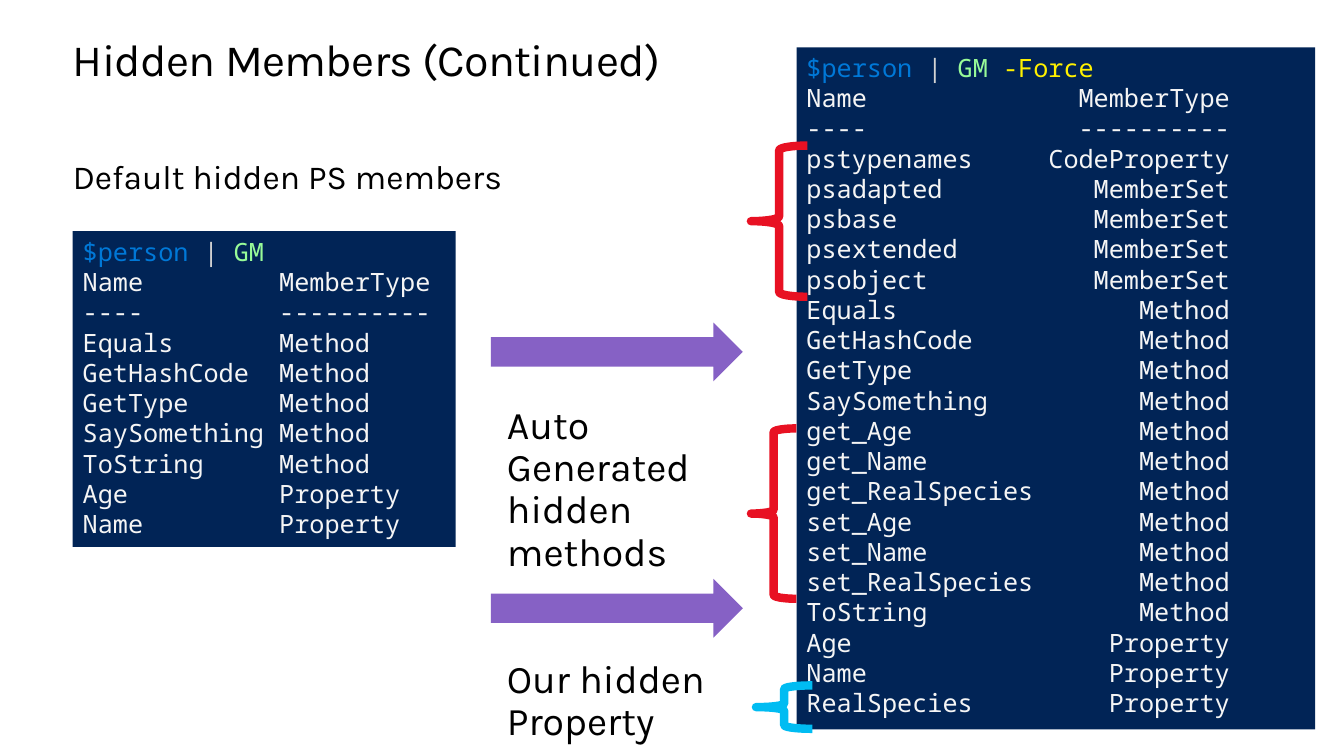
from pptx import Presentation
from pptx.dml.color import RGBColor
from pptx.enum.shapes import MSO_SHAPE
from pptx.enum.text import MSO_ANCHOR, MSO_AUTO_SIZE, PP_ALIGN
from pptx.util import Pt

RECTANGLE, BRACE, ARROW = MSO_SHAPE.RECTANGLE, MSO_SHAPE.LEFT_BRACE, MSO_SHAPE.RIGHT_ARROW
TOP, MIDDLE = MSO_ANCHOR.TOP, MSO_ANCHOR.MIDDLE
LEFT = PP_ALIGN.LEFT
NO_AUTOFIT = MSO_AUTO_SIZE.NONE

BLACK = RGBColor(0x00, 0x00, 0x00)
WHITE = RGBColor(0xFF, 0xFF, 0xFF)
CONSOLE = RGBColor(0x01, 0x24, 0x56)
VARIABLE = RGBColor(0x00, 0x78, 0xD7)
PIPE = RGBColor(0xD3, 0xD3, 0xD3)
COMMAND = RGBColor(0x98, 0xFB, 0x98)
PARAMETER = RGBColor(0xFF, 0xF1, 0x00)
OUTPUT = RGBColor(0xF5, 0xF5, 0xF5)
RED = RGBColor(0xE8, 0x11, 0x23)
CYAN = RGBColor(0x00, 0xBC, 0xF2)
PURPLE = RGBColor(0x86, 0x61, 0xC5)

prs = Presentation()
prs.slide_width, prs.slide_height = Pt(960), Pt(540)
slide = prs.slides.add_slide(prs.slide_layouts[1])


def add_run(paragraph, text, size, color, font="Karla"):
    run = paragraph.add_run()
    run.text = text
    run.font.name = font
    run.font.size = Pt(size)
    run.font.color.rgb = color
    return run


def add_plain_shape(kind, box, fill=None, line=None):
    """Add a shadowless preset shape; box is left, top, width, height in points."""
    shape = slide.shapes.add_shape(kind, *map(Pt, box))
    shape.shadow.inherit = False
    if fill is None:
        shape.fill.background()
    else:
        shape.fill.solid()
        shape.fill.fore_color.rgb = fill
    if line is None:
        shape.line.fill.background()
    else:
        shape.line.color.rgb = line
        shape.line.width = Pt(6)
    return shape


# Title and subtitle
title, subtitle = slide.placeholders
headings = [
    (title, (52, 25, 857, 36), "Hidden Members (Continued)", 32, MIDDLE),
    (subtitle, (52, 111, 857, 379), "Default hidden PS members", 24, TOP),
]
for holder, box, text, size, anchor in headings:
    holder.left, holder.top, holder.width, holder.height = map(Pt, box)
    frame = holder.text_frame
    frame.margin_left = frame.margin_right = frame.margin_top = frame.margin_bottom = 0
    frame.word_wrap = True
    frame.auto_size = NO_AUTOFIT
    frame.vertical_anchor = anchor
    paragraph = frame.paragraphs[0]
    paragraph.alignment = LEFT
    paragraph.space_before = Pt(0)
    add_run(paragraph, text, size, BLACK)

title.fill.solid()
title.fill.fore_color.rgb = WHITE
title_paragraph = title.text_frame.paragraphs[0]
title_paragraph.line_spacing = Pt(36.2)
title_paragraph.runs[0].font._element.set("spc", "-50")

subtitle_props = subtitle.text_frame.paragraphs[0]._p.get_or_add_pPr()
subtitle_props.set("marL", "0")
subtitle_props.set("indent", "0")
subtitle_props.insert_element_before(
    subtitle_props.makeelement(
        "{http://schemas.openxmlformats.org/drawingml/2006/main}buNone", {}),
    "a:tabLst", "a:defRPr", "a:extLst")

# Console panels
header = [("Name", "MemberType"), ("-" * 4, "-" * 10)]
visible_members = header + [
    ("Equals", "Method"), ("GetHashCode", "Method"), ("GetType", "Method"),
    ("SaySomething", "Method"), ("ToString", "Method"),
    ("Age", "Property"), ("Name", "Property"),
]
all_members = header + [
    ("pstypenames", "CodeProperty"), ("psadapted", "MemberSet"),
    ("psbase", "MemberSet"), ("psextended", "MemberSet"), ("psobject", "MemberSet"),
    ("Equals", "Method"), ("GetHashCode", "Method"), ("GetType", "Method"),
    ("SaySomething", "Method"), ("get_Age", "Method"), ("get_Name", "Method"),
    ("get_RealSpecies", "Method"), ("set_Age", "Method"), ("set_Name", "Method"),
    ("set_RealSpecies", "Method"), ("ToString", "Method"),
    ("Age", "Property"), ("Name", "Property"), ("RealSpecies", "Property"),
]
prompt = [("$person ", VARIABLE), ("| ", PIPE)]
consoles = [
    ((52, 165.2, 273.5, 225.4), prompt + [("GM", COMMAND)],
     [f"{name:<13}{kind}" for name, kind in visible_members]),
    ((569, 33.8, 370.5, 487.2), prompt + [("GM ", COMMAND), ("-Force", PARAMETER)],
     [f"{name:<16}{kind:>12}" for name, kind in all_members]),
]
for box, command, rows in consoles:
    frame = add_plain_shape(RECTANGLE, box, fill=CONSOLE).text_frame
    frame.word_wrap = True
    frame.vertical_anchor = TOP
    lines = [command] + [[(row, OUTPUT)] for row in rows]
    for number, line in enumerate(lines):
        paragraph = frame.add_paragraph() if number else frame.paragraphs[0]
        paragraph.alignment = LEFT
        for text, color in line:
            add_run(paragraph, text, 18, color, "Noto Sans Mono")

# Braces around the hidden members
braces = [
    ((536.4, 104, 40.3, 108), RED),
    ((536.4, 306, 32.4, 121.7), RED),
    ((540, 489.6, 40.3, 31), CYAN),
]
for box, color in braces:
    add_plain_shape(BRACE, box, line=color)

# Explanations and arrows
labels = [
    ((350.6, 282.2, 201, 137), "Auto Generated hidden methods"),
    ((350.6, 463.7, 228, 75.6), "Our hidden Property"),
]
for box, text in labels:
    frame = slide.shapes.add_textbox(*map(Pt, box)).text_frame
    frame.word_wrap = True
    frame.margin_left = frame.margin_right = Pt(11.5)
    frame.margin_top = frame.margin_bottom = Pt(7.2)
    paragraph = frame.paragraphs[0]
    paragraph.line_spacing = 0.9
    add_run(paragraph, text, 28, BLACK)

for arrow_top in (230.4, 413.5):
    add_plain_shape(ARROW, (350.6, arrow_top, 180, 42), fill=PURPLE)

prs.save("out.pptx")
